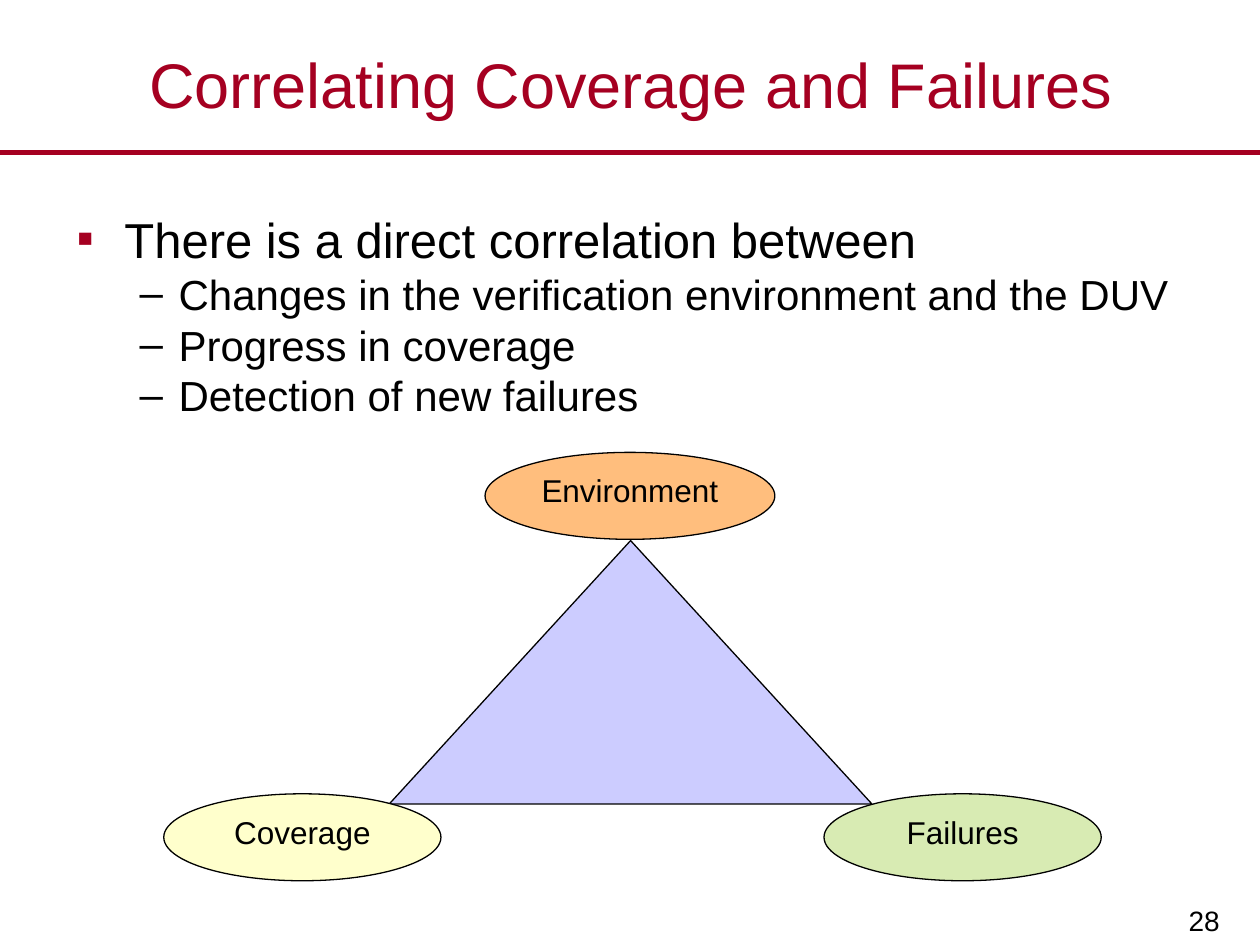
from dataclasses import dataclass

from lxml.etree import SubElement
from pptx import Presentation
from pptx.dml.color import RGBColor
from pptx.enum.shapes import MSO_CONNECTOR, MSO_SHAPE
from pptx.enum.text import MSO_ANCHOR, MSO_AUTO_SIZE, PP_ALIGN
from pptx.oxml.ns import qn
from pptx.util import Inches, Pt


@dataclass(frozen=True)
class Theme:
    """Colours, typeface and type sizes of the deck."""
    font: str = "Arial"
    accent: str = "A50021"
    ink: str = "000000"
    triangle: str = "CCCCFF"
    coverage: str = "FFFFCC"
    environment: str = "FFBE7D"
    failures: str = "D8EBB3"
    title: int = 36
    lead: int = 28
    point: int = 24
    label: int = 18
    number: int = 16


class SlideBuilder:
    """Draws styled elements on the current slide."""

    def __init__(self, slide, theme):
        """Keep the slide and its theme."""
        self.slide = slide
        self.theme = theme

    def apply(self, target, values):
        """Set each attribute named in a dict of format values."""
        for name, value in values.items():
            setattr(target, name, value)

    def place(self, left, top, width, height):
        """Return position and size as named lengths."""
        names = ("left", "top", "width", "height")
        return dict(zip(names, map(Inches, (left, top, width, height))))

    def add_text(self, para, text, size, color=None, **layout):
        """Add one styled span to a paragraph."""
        self.apply(para, layout)
        span = para.add_run()
        span.text = text
        self.apply(span.font, {"name": self.theme.font, "size": Pt(size)})
        span.font.color.rgb = RGBColor.from_string(color or self.theme.ink)

    def title(self, text, area):
        """Move and fill the title placeholder."""
        box = self.slide.shapes.title
        self.apply(box, self.place(*area))
        self.apply(box.text_frame, {"word_wrap": True,
                                    "auto_size": MSO_AUTO_SIZE.NONE,
                                    "vertical_anchor": MSO_ANCHOR.MIDDLE})
        self.add_text(box.text_frame.paragraphs[0], text, self.theme.title,
                      self.theme.accent, alignment=PP_ALIGN.CENTER)

    def text_box(self, area, **frame_format):
        """Add a wrapping text box and return its frame."""
        frame = self.slide.shapes.add_textbox(**self.place(*area)).text_frame
        self.apply(frame, {"word_wrap": True, **frame_format})
        return frame

    def bullet(self, para, symbol, color, margin, hang):
        """Give a paragraph a coloured hanging bullet."""
        properties = para._p.get_or_add_pPr()
        properties.set("marL", str(Inches(margin)))
        properties.set("indent", str(-Inches(hang)))
        fill = SubElement(properties, qn("a:buClr"))
        SubElement(fill, qn("a:srgbClr")).set("val", color)
        SubElement(properties, qn("a:buFont")).set("typeface", self.theme.font)
        SubElement(properties, qn("a:buChar")).set("char", symbol)

    def bullets(self, area, lead, points):
        """Add a lead statement followed by its points."""
        frame = self.text_box(area)
        para = frame.paragraphs[0]
        self.add_text(para, lead, self.theme.lead,
                      line_spacing=0.8, space_before=Pt(7))
        self.bullet(para, "▪", self.theme.accent, 0.38, 0.38)
        for point in points:
            para = frame.add_paragraph()
            self.add_text(para, point, self.theme.point, level=1,
                          line_spacing=0.8, space_before=Pt(6))
            self.bullet(para, "–", self.theme.ink, 0.81, 0.31)

    def shape(self, kind, area, color, label=None):
        """Add an outlined shape with an optional centred label."""
        shape = self.slide.shapes.add_shape(kind, **self.place(*area))
        shape.shadow.inherit = False
        shape.fill.solid()
        shape.fill.fore_color.rgb = RGBColor.from_string(color)
        shape.line.color.rgb = RGBColor.from_string(self.theme.ink)
        shape.line.width = Pt(0.75)
        if label:
            shape.text_frame.vertical_anchor = MSO_ANCHOR.TOP
            self.add_text(shape.text_frame.paragraphs[0], label, self.theme.label,
                          alignment=PP_ALIGN.CENTER, space_before=Pt(4.5))

    def rule(self, top, width):
        """Draw the horizontal line below the title."""
        line = self.slide.shapes.add_connector(
            MSO_CONNECTOR.STRAIGHT, 0, Inches(top), Inches(width), Inches(top))
        line.line.color.rgb = RGBColor.from_string(self.theme.accent)
        line.line.width = Pt(3)
        SubElement(line._element.spPr, qn("a:effectLst"))

    def page_number(self, text, area):
        """Add the page number at the lower right."""
        frame = self.text_box(area, vertical_anchor=MSO_ANCHOR.BOTTOM,
                              margin_left=Inches(0.11), margin_right=Inches(0.11),
                              margin_top=Inches(0.06), margin_bottom=Inches(0.06))
        self.add_text(frame.paragraphs[0], text, self.theme.number,
                      alignment=PP_ALIGN.RIGHT)


def main():
    """Build and save the deck."""
    deck = Presentation()
    deck.slide_width, deck.slide_height = Inches(10), Inches(7.5)
    theme = Theme()
    page = SlideBuilder(deck.slides.add_slide(deck.slide_layouts[5]), theme)
    page.rule(1.21, 10)
    page.page_number("28", (7.8, 6.93, 1.99, 0.57))
    page.title("Correlating Coverage and Failures", (0.21, 0.24, 9.59, 0.85))
    page.bullets((0.51, 1.7, 9, 1.84), "There is a direct correlation between",
                 ("Changes in the verification environment and the DUV",
                  "Progress in coverage",
                  "Detection of new failures"))
    page.shape(MSO_SHAPE.ISOSCELES_TRIANGLE, (3.09, 4.29, 3.83, 2.09), theme.triangle)
    for label, left, top, width, color in (
            ("Coverage", 1.3, 6.3, 2.2, theme.coverage),
            ("Environment", 3.85, 3.59, 2.3, theme.environment),
            ("Failures", 6.54, 6.3, 2.2, theme.failures)):
        page.shape(MSO_SHAPE.OVAL, (left, top, width, 0.69), color, label)
    deck.save("out.pptx")


if __name__ == "__main__":
    main()
